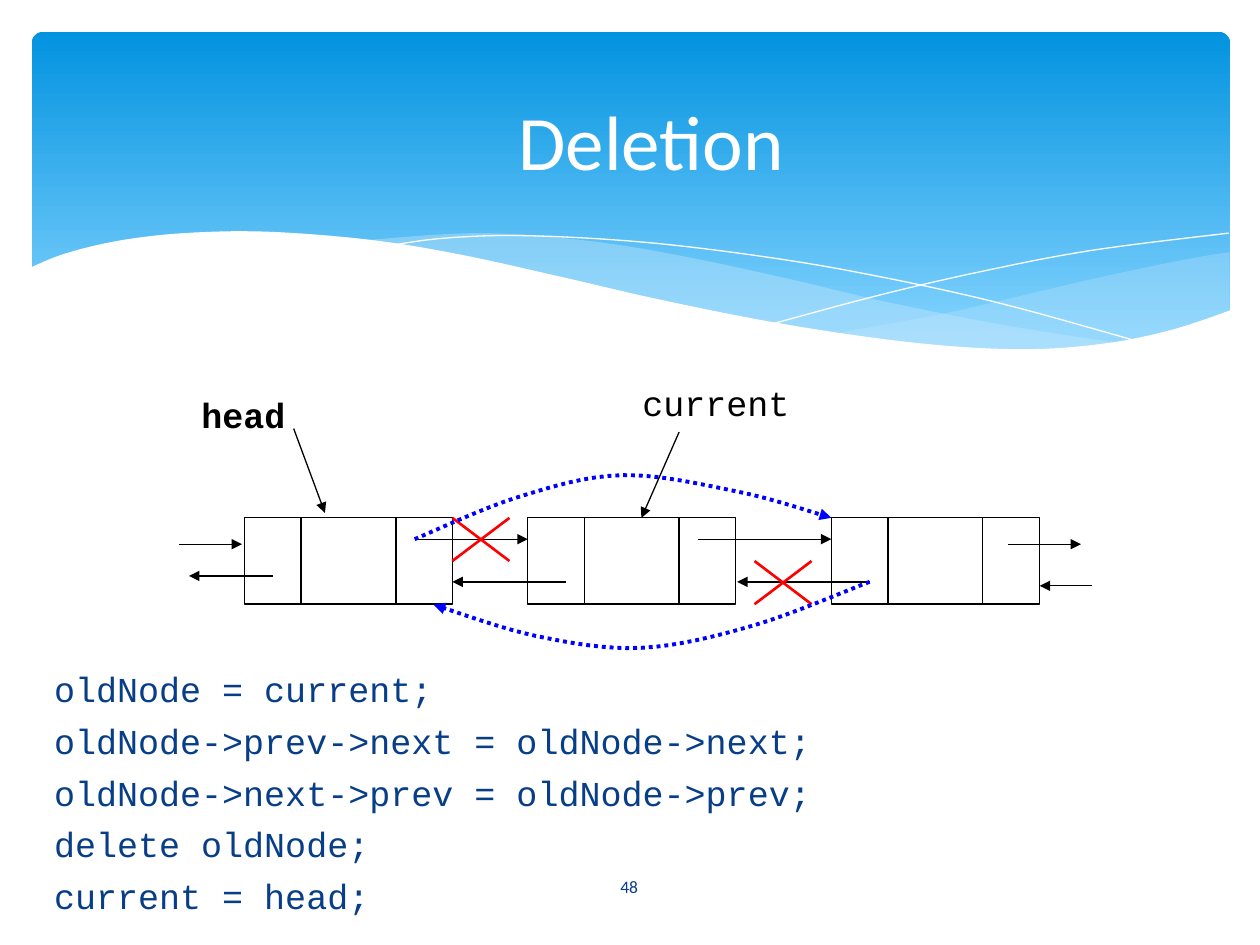
from lxml.etree import SubElement
from pptx import Presentation
from pptx.dml.color import RGBColor
from pptx.enum.dml import MSO_LINE
from pptx.enum.shapes import MSO_CONNECTOR, MSO_SHAPE
from pptx.enum.text import MSO_ANCHOR, PP_ALIGN
from pptx.oxml.ns import qn
from pptx.util import Cm, Pt

color = RGBColor.from_string
BLACK, WHITE, NAVY, RED, BLUE = "000000", "FFFFFF", "073E87", "FF0000", "0000FF"
PALE = "C6E7FC"

deck = Presentation()
deck.slide_width, deck.slide_height = Cm(25.4), Cm(19.05)
page = deck.slides.add_slide(deck.slide_layouts[6])
shapes = page.shapes


def add_line(start, end, line_color=BLACK, width=0.75, arrow=False):
    line = shapes.add_connector(
        MSO_CONNECTOR.STRAIGHT, *[Cm(value) for value in start + end])
    line.line.color.rgb = color(line_color)
    line.line.width = Pt(width)
    properties = line._element.spPr
    if arrow:
        SubElement(properties.find(qn("a:ln")), qn("a:tailEnd"), type="triangle")
    SubElement(properties, qn("a:effectLst"))


def add_curve(sections, closed=False):
    points = []
    for knots in sections:
        padded = [knots[0], *knots, knots[-1]]
        points.append(knots[0])
        for a, b, c, d in zip(padded, padded[1:], padded[2:], padded[3:]):
            for step in range(1, 9):
                t = step / 8
                points.append(tuple(
                    b[i] + (c[i] - a[i]) * t / 2
                    + (2 * a[i] - 5 * b[i] + 4 * c[i] - d[i]) * t ** 2 / 2
                    + (3 * b[i] - a[i] - 3 * c[i] + d[i]) * t ** 3 / 2
                    for i in (0, 1)))
    outline = [(Cm(x), Cm(y)) for x, y in points]
    builder = shapes.build_freeform(*outline[0])
    builder.add_line_segments(outline[1:], close=closed)
    curve = builder.convert_to_shape()
    curve.shadow.inherit = False
    if closed:
        curve.line.fill.background()
    else:
        curve.fill.background()
    return curve


banner = shapes.add_shape(
    MSO_SHAPE.ROUNDED_RECTANGLE, Cm(0.64), Cm(0.64), Cm(24.16), Cm(6.86))
banner.adjustments[0] = 0.034
banner.shadow.inherit = False
banner.line.fill.background()
banner.fill.gradient()
banner.fill.gradient_angle = 270
for stop, position, tone in zip(
        banner.fill.gradient_stops, (0, 0.9), ("0293E0", "83D3FE")):
    stop.position = position
    stop.color.rgb = color(tone)

right_wave = [
    [(24.79, 5.08), (23.75, 5.26), (21.87, 5.66), (19.13, 6.3), (16.79, 6.73)],
    [(16.79, 6.73), (18.59, 6.96), (20.68, 7.06), (22.38, 6.93),
     (23.75, 6.65), (24.79, 6.27)],
]
left_wave = [
    [(22.68, 6.93), (20.5, 6.6), (17.93, 6.1), (15.98, 5.64), (13.74, 5.16),
     (11.81, 4.85), (9.65, 4.7), (7.26, 4.85)],
    [(7.26, 4.85), (9.19, 5.16), (11.4, 5.64), (14.38, 6.3), (16.89, 6.76),
     (19.33, 7.04), (21.03, 7.06), (22.68, 6.93)],
]
for wave, opacity in ((right_wave, 29), (left_wave, 40)):
    curve = add_curve(wave, closed=True)
    curve.fill.solid()
    curve.fill.fore_color.rgb = color(PALE)
    tint = curve._element.spPr.find(qn("a:solidFill")).find(qn("a:srgbClr"))
    SubElement(tint, qn("a:alpha"), val=str(opacity * 1000))

falling_strand = [(7.85, 4.95), (8.97, 4.8), (10.57, 4.75), (12.95, 4.88),
                  (15.44, 5.18), (17.65, 5.56), (20.19, 6.12), (23.04, 6.91)]
rising_strand = [(15.57, 6.53), (17.65, 5.97), (19.71, 5.49), (22, 5.05),
                 (24.77, 4.7)]
for strand in (falling_strand, rising_strand):
    curve = add_curve([strand])
    curve.line.color.rgb = color(WHITE)
    curve.line.width = Pt(0)

white_edge = [(24.82, 6.25), (23.62, 6.65), (22.23, 6.93), (20.55, 7.04),
              (18.44, 6.91), (15.9, 6.55), (13.44, 6.07), (11.35, 5.59),
              (9.27, 5.13), (7.42, 4.83), (5.36, 4.67), (3.71, 4.7),
              (2.41, 4.85), (1.32, 5.11), (0.58, 5.41)]
white_wave = add_curve([white_edge, [(0.58, 8.36)], [(24.82, 8.36)]], closed=True)
white_wave.fill.solid()
white_wave.fill.fore_color.rgb = color(WHITE)

code = ["oldNode = current;", "oldNode->prev->next = oldNode->next;",
        "oldNode->next->prev = oldNode->prev;", "delete oldNode;",
        "current = head;"]
left, center = PP_ALIGN.LEFT, PP_ALIGN.CENTER
top, middle = MSO_ANCHOR.TOP, MSO_ANCHOR.MIDDLE
mono, sans = "Courier New", "Calibri"
texts = [
    (code, (0.84, 13.34, 21.59, 5.51), 20, mono, NAVY, False, left, top, 5.5),
    (["48"], (11.07, 17.37, 3.23, 1.02), 10, sans, NAVY, False, center, middle, 0),
    (["Deletion"], (1.7, 1.07, 22.86, 3.48), 44, sans, WHITE, False, center, middle, 0),
    (["current"], (12.7, 7.57, 3.61, 1.3), 20, mono, BLACK, False, left, top, 0),
    (["head"], (3.81, 7.8, 3.94, 1.3), 20, mono, BLACK, True, left, top, 0),
]
for lines, place, size, font, tone, bold, align, anchor, gap in texts:
    box = shapes.add_textbox(*[Cm(value) for value in place])
    frame = box.text_frame
    frame.word_wrap = True
    frame.vertical_anchor = anchor
    for index, text in enumerate(lines):
        para = frame.add_paragraph() if index else frame.paragraphs[0]
        para.alignment = align
        para.space_before = Pt(gap)
        span = para.add_run()
        span.text = text
        span.font.size = Pt(size)
        span.font.name = font
        span.font.bold = bold
        span.font.color.rgb = color(tone)

node_top, node_width, node_height = 10.44, 4.19, 1.74
for node_left in (4.93, 10.64, 16.76):
    node = shapes.add_shape(MSO_SHAPE.RECTANGLE, Cm(node_left), Cm(node_top),
                            Cm(node_width), Cm(node_height))
    node.shadow.inherit = False
    node.fill.solid()
    node.fill.fore_color.rgb = color(WHITE)
    node.line.color.rgb = color(BLACK)
    node.line.width = Pt(0.75)
    for offset in (1.14, 3.05):
        x = node_left + offset
        add_line((x, node_top), (x, node_top + node_height))

next_y, prev_y = 10.87, 11.73
arrows = [
    ((13.69, 8.71), (12.93, 10.44)),
    ((5.92, 8.64), (6.55, 10.34)),
    ((8.36, next_y), (10.64, next_y)),
    ((11.4, prev_y), (9.12, prev_y)),
    ((14.07, next_y), (16.76, next_y)),
    ((17.53, prev_y), (14.86, prev_y)),
    ((3.61, 10.97), (4.88, 10.97)),
    ((5.51, 11.61), (3.81, 11.61)),
    ((22.02, 11.81), (20.96, 11.81)),
    ((20.32, 10.97), (21.79, 10.97)),
]
for start, end in arrows:
    add_line(start, end, arrow=True)

for x, y in ((9.12, 10.44), (15.21, 11.31)):
    add_line((x + 1.15, y), (x, y + 0.87), RED, 1.5)
    add_line((x, y), (x + 1.15, y + 0.87), RED, 1.5)

new_next = [(8.36, 10.87), (10.45, 10.02), (12.55, 9.58), (14.91, 9.92), (16.76, 10.44)]
new_prev = [(17.53, 11.73), (15.19, 12.61), (12.93, 13.06), (10.8, 12.82), (8.74, 12.19)]
for link in (new_next, new_prev):
    curve = add_curve([link])
    curve.line.color.rgb = color(BLUE)
    curve.line.width = Pt(2.25)
    curve.line.dash_style = MSO_LINE.ROUND_DOT
    SubElement(curve._element.spPr.find(qn("a:ln")), qn("a:tailEnd"), type="triangle")

deck.save("out.pptx")
